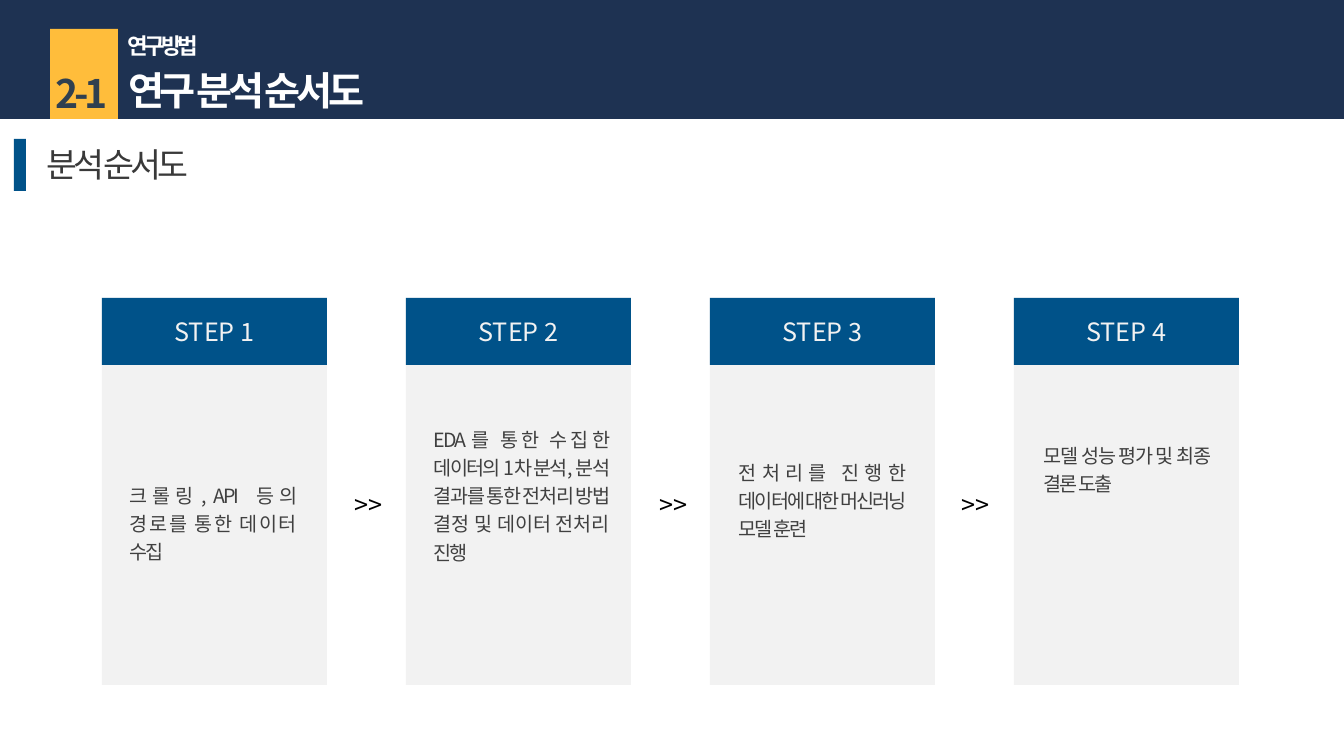
from lxml import etree
from pptx import Presentation
from pptx.dml.color import RGBColor
from pptx.enum.shapes import MSO_SHAPE
from pptx.enum.text import MSO_ANCHOR, PP_ALIGN
from pptx.oxml.ns import qn

RECTANGLE = MSO_SHAPE.RECTANGLE
TOP, MIDDLE = MSO_ANCHOR.TOP, MSO_ANCHOR.MIDDLE
LEFT, CENTER, JUSTIFY = PP_ALIGN.LEFT, PP_ALIGN.CENTER, PP_ALIGN.JUSTIFY

PX = 914400 / 100.8
FONT = "Noto Sans CJK KR"
COLORS = {
    "navy": "1E3252", "blue": "005289", "amber": "FFBD3B", "panel": "F2F2F2",
    "white": "FFFFFF", "black": "000000", "slate": "30404F",
    "heading": "393939", "body": "404040",
}

# Step cards: left edge, pitch and heights
CARD_LEFT, CARD_PITCH, CARD_WIDTH = 102, 304, 225
CARD_TOP, CARD_HEIGHT, HEADER_HEIGHT = 298, 387, 67

# Description, with its offset from the card, top and width
STEPS = [
    ("크롤링, API 등의 경로를 통한 데이터 수집", 18, 474, 185),
    ("EDA를 통한 수집한 데이터의 1차 분석, 분석 결과를 통한 전처리 방법 결정 및 "
     "데이터 전처리 진행", 18, 418, 194),
    ("전처리를 진행한 데이터에 대한 머신러닝 모델 훈련", 19, 451, 185),
    ("모델 성능 평가 및 최종 결론 도출", 20, 434, 185),
]
CHEVRON_LEFTS = [345, 650, 952]


def emu(*lengths):
    return [round(length * PX) for length in lengths]


def color(name):
    return RGBColor.from_string(COLORS[name])


def write(shape, text, size, ink, align=LEFT, bold=False, spacing=0,
          line_spacing=None, wrap=True, anchor=TOP):
    frame = shape.text_frame
    frame.word_wrap = wrap
    frame.vertical_anchor = anchor
    para = frame.paragraphs[0]
    span = para.add_run()
    span.text = text
    para.alignment = align
    if line_spacing:
        para.line_spacing = line_spacing
    font = para.font
    font.name, font.size, font.bold = FONT, round(size * 12700), bold
    font.color.rgb = color(ink)
    # Letter spacing and the East Asian typeface
    properties = para._p.get_or_add_pPr().get_or_add_defRPr()
    properties.set("spc", str(round(spacing * 100)))
    etree.SubElement(properties, qn("a:ea")).set("typeface", FONT)


def add_block(page, left, top, width, height, fill):
    block = page.shapes.add_shape(RECTANGLE, *emu(left, top, width, height))
    block.shadow.inherit = False
    block.fill.solid()
    block.fill.fore_color.rgb = color(fill)
    block.line.fill.background()
    return block


def add_text(page, left, top, width, height, text, size, ink, **style):
    box = page.shapes.add_textbox(*emu(left, top, width, height))
    write(box, text, size, ink, **style)


def add_title(page, left, top, width, height, text, size, ink, **style):
    title = page.shapes.title
    title.left, title.top, title.width, title.height = emu(left, top, width, height)
    write(title, text, size, ink, **style)
    # Bring the title in front of the banner
    page.shapes[-1].element.addnext(title.element)


def add_step(page, index, description, offset, top, width):
    left = CARD_LEFT + index * CARD_PITCH
    add_block(page, left, CARD_TOP, CARD_WIDTH, CARD_HEIGHT, "panel")
    header = add_block(page, left, CARD_TOP, CARD_WIDTH, HEADER_HEIGHT, "blue")
    write(header, f"STEP {index + 1}", 18, "panel", align=CENTER, anchor=MIDDLE)
    add_text(page, left + offset, top, width, 65, description, 14, "body",
             align=JUSTIFY, spacing=-1.5, line_spacing=1.2)


def main():
    deck = Presentation()
    deck.slide_width, deck.slide_height = emu(1344, 756)
    page = deck.slides.add_slide(deck.slide_layouts[5])

    # Banner
    add_block(page, 0, 0, 1344, 119, "navy")
    add_block(page, 50, 29, 68, 90, "amber")
    add_title(page, 118, 61, 554, 58, "연구 분석 순서도", 28, "white",
              bold=True, spacing=-3)
    add_text(page, 118, 27, 554, 37, "연구 방법", 16, "white", bold=True, spacing=-3)
    add_text(page, 38, 64, 87, 58, "2-1", 28, "slate",
             align=CENTER, bold=True, spacing=-3)

    # Section heading
    add_block(page, 14, 139, 12, 52, "blue")
    add_text(page, 37, 139, 176, 50, "분석 순서도", 24, "heading",
             spacing=-3, wrap=False)

    # Steps and the marks between them
    for index, step in enumerate(STEPS):
        add_step(page, index, *step)
    for left in CHEVRON_LEFTS:
        add_text(page, left, 484, 59, 44, ">>", 18, "black", wrap=False)

    deck.save("out.pptx")


if __name__ == "__main__":
    main()
